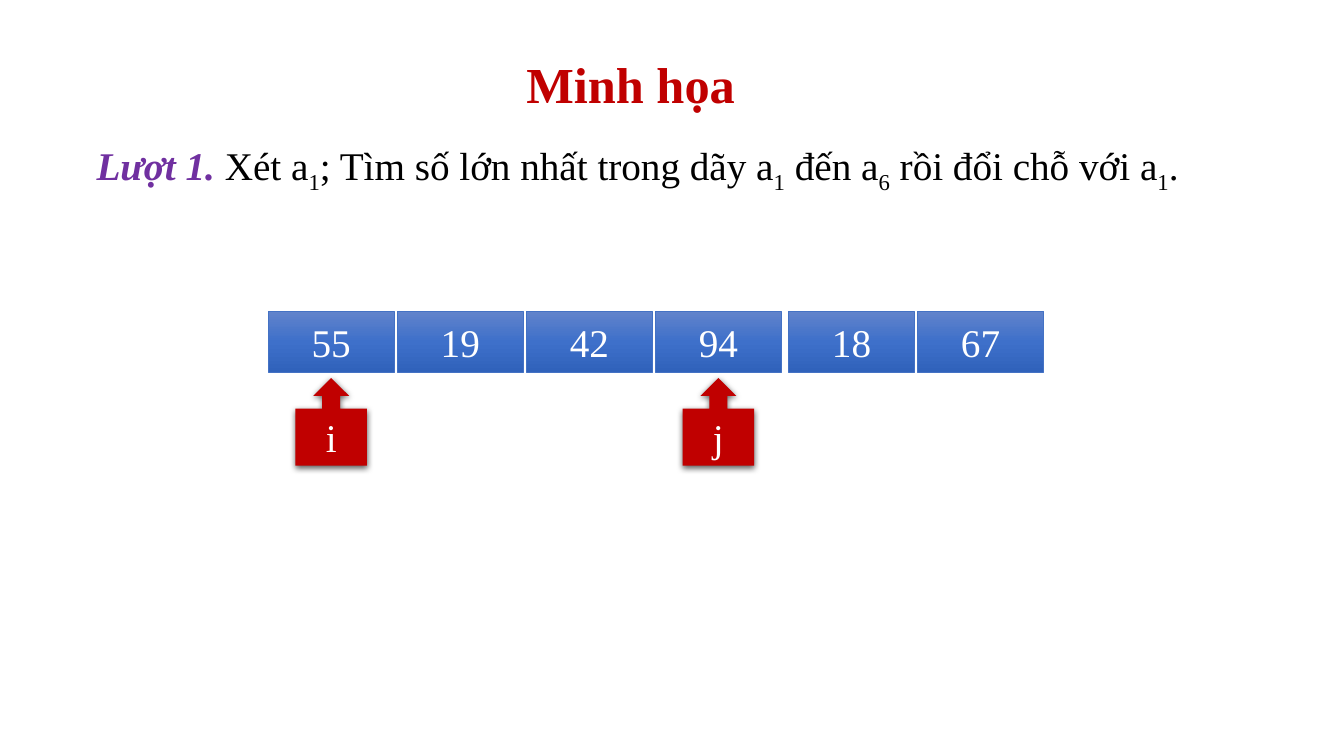
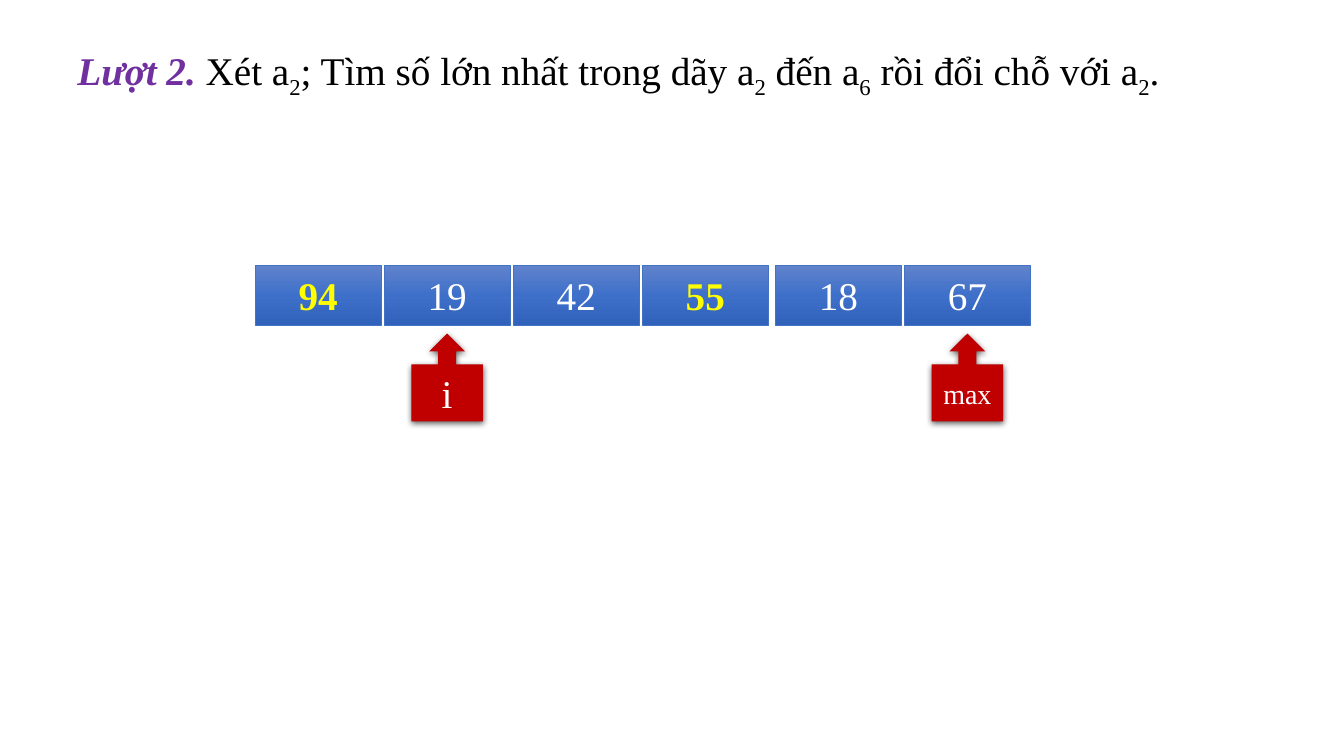
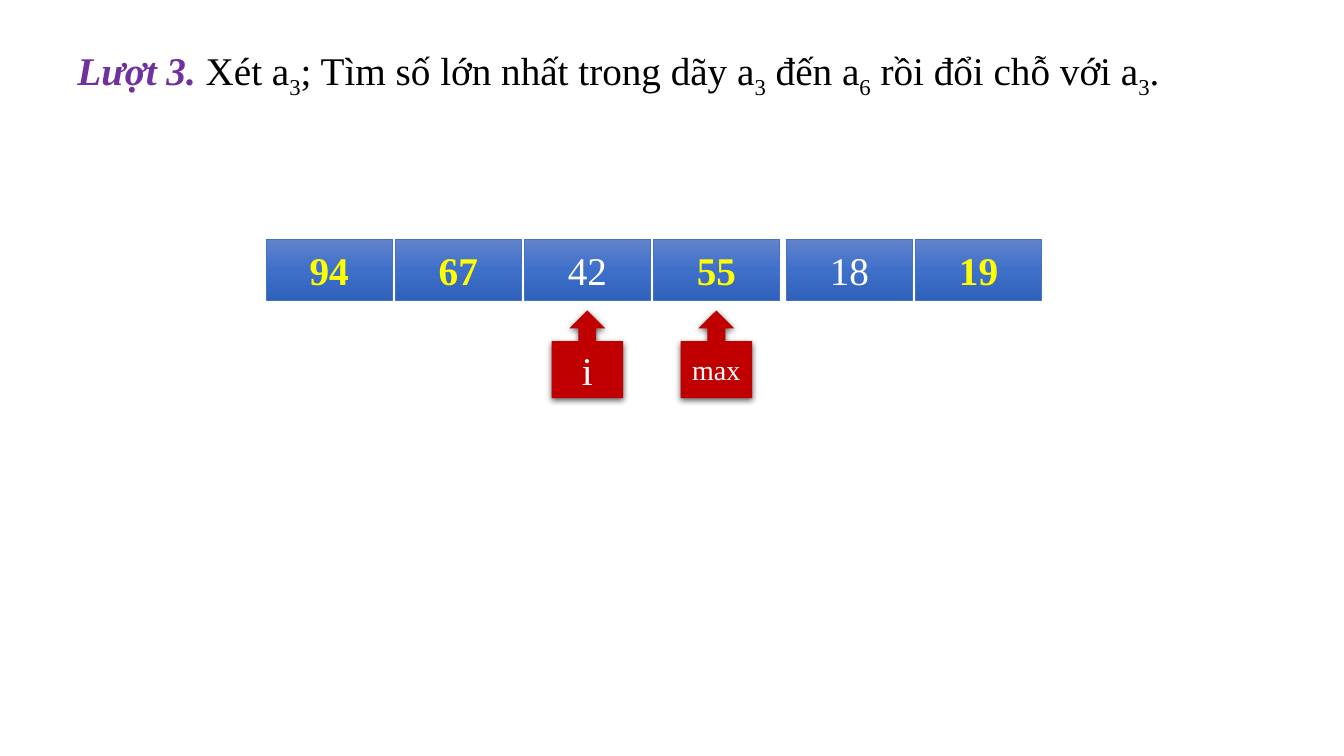
from copy import deepcopy

from lxml.etree import SubElement
from pptx import Presentation
from pptx.dml.color import RGBColor
from pptx.enum.shapes import MSO_SHAPE as SHAPE
from pptx.enum.text import MSO_ANCHOR as ANCHOR, MSO_AUTO_SIZE as AUTO_SIZE, PP_ALIGN as ALIGN
from pptx.oxml.ns import qn
from pptx.util import Inches, Pt

FONT = "Times New Roman"
RED, PURPLE, BLACK = "C00000", "7030A0", "000000"
WHITE, YELLOW, CELL_LINE = "FFFFFF", "FFFF00", "4472C4"
CELL_GRADIENT = ((0, "6183CB"), (0.5, "3E70CA"), (1, "3062BB"))
TITLE_ONLY, BLANK = 5, 6


def rgb(color):
    return RGBColor.from_string(color)


def add_text(paragraph, text, size=28, color=BLACK, bold=False, italic=False, baseline=0):
    run = paragraph.add_run()
    run.text = text
    font = run.font
    font.name, font.size, font.bold, font.italic = FONT, Pt(size), bold, italic
    font.color.rgb = rgb(color)
    if baseline:
        run._r.get_or_add_rPr().set("baseline", str(baseline * 1000))


class SortDeck:
    """Builds slides that show the passes of a selection sort."""

    cell_width, cell_height = 1.25, 0.6
    cell_pitch, middle_gap, middle = 1.28, 0.04, 4
    pointer_width, pointer_height = 0.71, 0.87

    def __init__(self):
        self.deck = Presentation()
        self.deck.slide_width, self.deck.slide_height = Inches(13.33), Inches(7.5)
        self.slide = None

    def add_slide(self, layout=BLANK):
        self.slide = self.deck.slides.add_slide(self.deck.slide_layouts[layout])

    def title(self, text):
        heading = self.slide.shapes.title
        heading.left, heading.top = Inches(5.12), Inches(0.39)
        heading.width, heading.height = Inches(2.29), Inches(0.76)
        frame = heading.text_frame
        frame.auto_size, frame.word_wrap = AUTO_SIZE.NONE, False
        frame.vertical_anchor = ANCHOR.TOP
        paragraph = frame.paragraphs[0]
        paragraph.alignment, paragraph.line_spacing = ALIGN.LEFT, 1.15
        paragraph.space_before = Pt(0)
        add_text(paragraph, text, size=36, color=RED, bold=True)

    def step(self, number, left, top):
        box = self.slide.shapes.add_textbox(Inches(left), Inches(top), Inches(12.27), Inches(0.57))
        box.text_frame.word_wrap = True
        paragraph = box.text_frame.paragraphs[0]
        add_text(paragraph, f"Lượt {number}. ", color=PURPLE, bold=True, italic=True)
        for phrase, index in (("Xét a", number), ("; Tìm số lớn nhất trong dãy a", number),
                              (" đến a", 6), (" rồi đổi chỗ với a", number)):
            add_text(paragraph, phrase)
            add_text(paragraph, str(index), baseline=-25)
        add_text(paragraph, ".")

    def labelled_shape(self, kind, left, top, width, height, label, **text_format):
        shape = self.slide.shapes.add_shape(
            kind, Inches(left), Inches(top), Inches(width), Inches(height))
        shape.shadow.inherit = False
        shape.text_frame.vertical_anchor = ANCHOR.MIDDLE
        paragraph = shape.text_frame.paragraphs[0]
        paragraph.alignment = ALIGN.CENTER
        add_text(paragraph, label, **text_format)
        return shape

    def cell(self, left, top, value, swapped):
        cell = self.labelled_shape(
            SHAPE.RECTANGLE, left, top, self.cell_width, self.cell_height, str(value),
            color=YELLOW if swapped else WHITE, bold=swapped)
        cell.fill.gradient()
        cell.fill.gradient_angle = 270
        stops = cell._element.spPr.find(".//" + qn("a:gsLst"))
        stops.append(deepcopy(stops[0]))
        for stop, (position, color) in zip(cell.fill.gradient_stops, CELL_GRADIENT):
            stop.position, stop.color.rgb = position, rgb(color)
        cell.line.color.rgb, cell.line.width = rgb(CELL_LINE), Pt(0.5)

    def pointer(self, left, top, label):
        pointer = self.labelled_shape(
            SHAPE.UP_ARROW_CALLOUT, left, top, self.pointer_width, self.pointer_height, label,
            size=20 if label == "max" else 28, color=WHITE)
        pointer.fill.solid()
        pointer.fill.fore_color.rgb = rgb(RED)
        pointer.line.fill.background()
        effects = pointer._element.spPr.find(qn("a:effectLst"))
        shadow = SubElement(effects, qn("a:outerShdw"), blurRad=str(Pt(4.5)), dist=str(Pt(1.5)),
                            dir="5400000", algn="ctr", rotWithShape="0")
        shade = SubElement(shadow, qn("a:srgbClr"), val=BLACK)
        SubElement(shade, qn("a:alpha"), val="63000")

    def array(self, left, top, values, swapped, pointer_top, pointers):
        lefts = [left + i * self.cell_pitch + (self.middle_gap if i >= self.middle else 0)
                 for i in range(len(values))]
        for cell_left, value in zip(lefts, values):
            self.cell(cell_left, top, value, value in swapped)
        inset = (self.cell_width - self.pointer_width) / 2
        for label, index in pointers.items():
            self.pointer(lefts[index - 1] + inset, pointer_top, label)


def main():
    sort = SortDeck()

    sort.add_slide(TITLE_ONLY)
    sort.title("Minh họa")
    sort.step(1, 0.86, 1.35)
    sort.array(2.66, 3.09, (55, 19, 42, 94, 18, 67), (), 3.75, {"i": 1, "j": 4})

    sort.add_slide()
    sort.step(2, 0.67, 0.41)
    sort.array(2.53, 2.63, (94, 19, 42, 55, 18, 67), (94, 55), 3.31, {"i": 2, "max": 6})

    sort.add_slide()
    sort.step(3, 0.67, 0.41)
    sort.array(2.64, 2.38, (94, 67, 42, 55, 18, 19), (94, 67, 55, 19), 3.08, {"i": 3, "max": 4})

    sort.deck.save("out.pptx")


if __name__ == "__main__":
    main()
